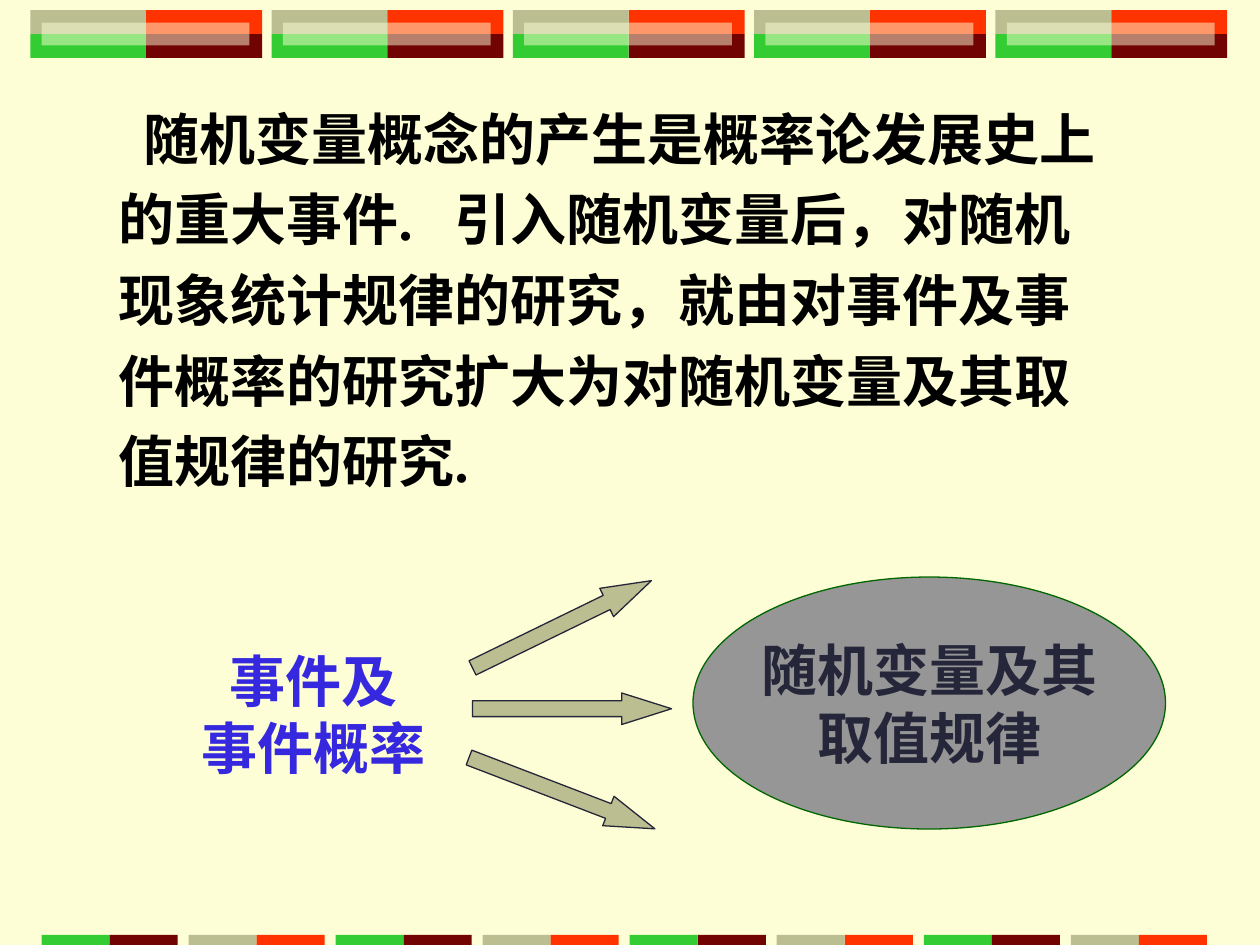
"""Build a slide on how random variables widen the study of events."""
from dataclasses import dataclass

from lxml import etree
from pptx import Presentation
from pptx.dml.color import RGBColor
from pptx.enum.shapes import MSO_SHAPE
from pptx.enum.text import MSO_ANCHOR, PP_ALIGN
from pptx.oxml.ns import qn
from pptx.util import Inches, Pt

RECT = MSO_SHAPE.RECTANGLE
ARROW = MSO_SHAPE.RIGHT_ARROW
OVAL = MSO_SHAPE.OVAL
CENTER = PP_ALIGN.CENTER
MIDDLE = MSO_ANCHOR.MIDDLE
SANS = "Noto Sans CJK SC"
SERIF = "Times New Roman"
CREAM, KHAKI, GREEN = "FEFED6", "BABE90", "33CC33"
RED, MAROON, INK = "FF3300", "710303", "26263A"
CLAIM = "随机变量概念的产生是概率论发展史上的重大事件."
REASON = (
    "引入随机变量后，对随机现象统计规律的研究，"
    "就由对事件及事件概率的研究扩大为对随机变量及其取值规律的研究."
)


@dataclass
class Box:
    """Place and size in inches."""
    left: float
    top: float
    width: float
    height: float

    def emu(self) -> list:
        """Give the four lengths."""
        return [Inches(v) for v in (self.left, self.top, self.width, self.height)]


@dataclass
class Pointer:
    """A block arrow's corner and turn."""
    left: float
    top: float
    turn: float


POINTERS = [Pointer(3.75, 5.5, 0), Pointer(3.67, 4.83, 334), Pointer(3.67, 6.17, 21)]


def paint(color, code: str) -> None:
    """Set a fill or font colour from hex."""
    color.rgb = RGBColor.from_string(code)


def add_form(slide, kind, box: Box, fill: str, line: str = ""):
    """Draw a flat preset shape."""
    shape = slide.shapes.add_shape(kind, *box.emu())
    shape.shadow.inherit = False
    shape.fill.solid()
    paint(shape.fill.fore_color, fill)
    if line:
        shape.line.width = Pt(0.75)
        paint(shape.line.color, line)
    else:
        shape.line.fill.background()
    return shape


def add_tile(slide, left: float) -> None:
    """Draw one four-colour tile with a pale pane."""
    for row, pair in enumerate([(KHAKI, RED), (GREEN, MAROON)]):
        for col, code in enumerate(pair):
            add_form(slide, RECT, Box(left + 0.92 * col, 0.08 + 0.19 * row, 0.92, 0.19), code)
    pane = add_form(slide, RECT, Box(left + 0.09, 0.18, 1.65, 0.18), CREAM)
    color = pane.fill._xPr.find(".//" + qn("a:srgbClr"))
    etree.SubElement(color, qn("a:alpha")).set("val", "50000")


def style(frame, font: str, code: str) -> None:
    """Format all runs in a frame."""
    for para in frame.paragraphs:
        for run in para.runs:
            run.font.size = Pt(32)
            run.font.bold = True
            run.font.name = font
            paint(run.font.color, code)
            east = etree.SubElement(run.font._element, qn("a:ea"))
            east.set("typeface", SANS)


def add_label(frame, text: str, code: str) -> None:
    """Write centred lines."""
    frame.text = text
    for para in frame.paragraphs:
        para.alignment = CENTER
    style(frame, SANS, code)


def add_body(slide) -> None:
    """Write the main paragraph with a widened gap between sentences."""
    frame = slide.shapes.add_textbox(*Box(0.84, 0.67, 8.07, 3.3).emu()).text_frame
    frame.word_wrap = True
    para = frame.paragraphs[0]
    para.line_spacing = 1.2
    props = para._p.get_or_add_pPr()
    props.set("marL", "0")
    props.set("indent", str(Inches(0.2)))
    for text in (CLAIM, " ", REASON):
        para.add_run().text = text
    style(frame, SERIF, "000000")
    para.runs[1].font._element.set("spc", "1600")


def main() -> None:
    """Build and save the slide."""
    deck = Presentation()
    deck.slide_width, deck.slide_height = Inches(10), Inches(7.5)
    slide = deck.slides.add_slide(deck.slide_layouts[6])
    slide.background.fill.solid()
    paint(slide.background.fill.fore_color, CREAM)

    for i in range(5):
        add_tile(slide, 0.24 + 1.915 * i)
    for i in range(8):
        pair = (KHAKI, RED) if i % 2 else (GREEN, MAROON)
        for col, code in enumerate(pair):
            add_form(slide, RECT, Box(0.33 + 1.167 * i + 0.54 * col, 7.42, 0.54, 0.08), code)

    add_body(slide)
    cause = slide.shapes.add_textbox(*Box(1.42, 5.08, 2.14, 1.17).emu())
    cause.text_frame.word_wrap = True
    add_label(cause.text_frame, "事件及\n事件概率", "3528DE")

    for item in POINTERS:
        arrow = add_form(slide, ARROW, Box(item.left, item.top, 1.58, 0.25), KHAKI, INK)
        arrow.adjustments[0], arrow.adjustments[1] = 0.5, 1.58
        arrow.rotation = item.turn

    oval = add_form(slide, OVAL, Box(5.5, 4.58, 3.75, 2), "969696", "006600")
    oval.text_frame.word_wrap = False
    oval.text_frame.vertical_anchor = MIDDLE
    add_label(oval.text_frame, "随机变量及其\n取值规律", INK)
    deck.save("out.pptx")


if __name__ == "__main__":
    main()
